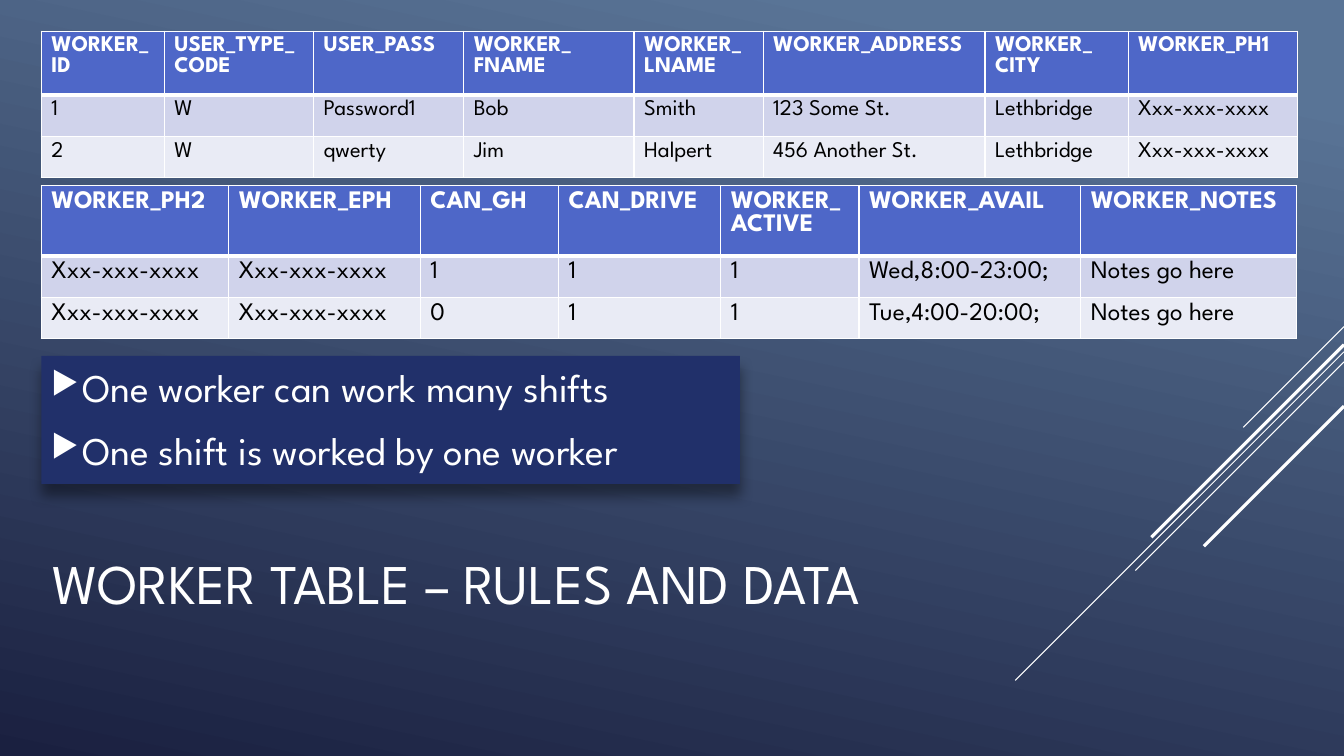
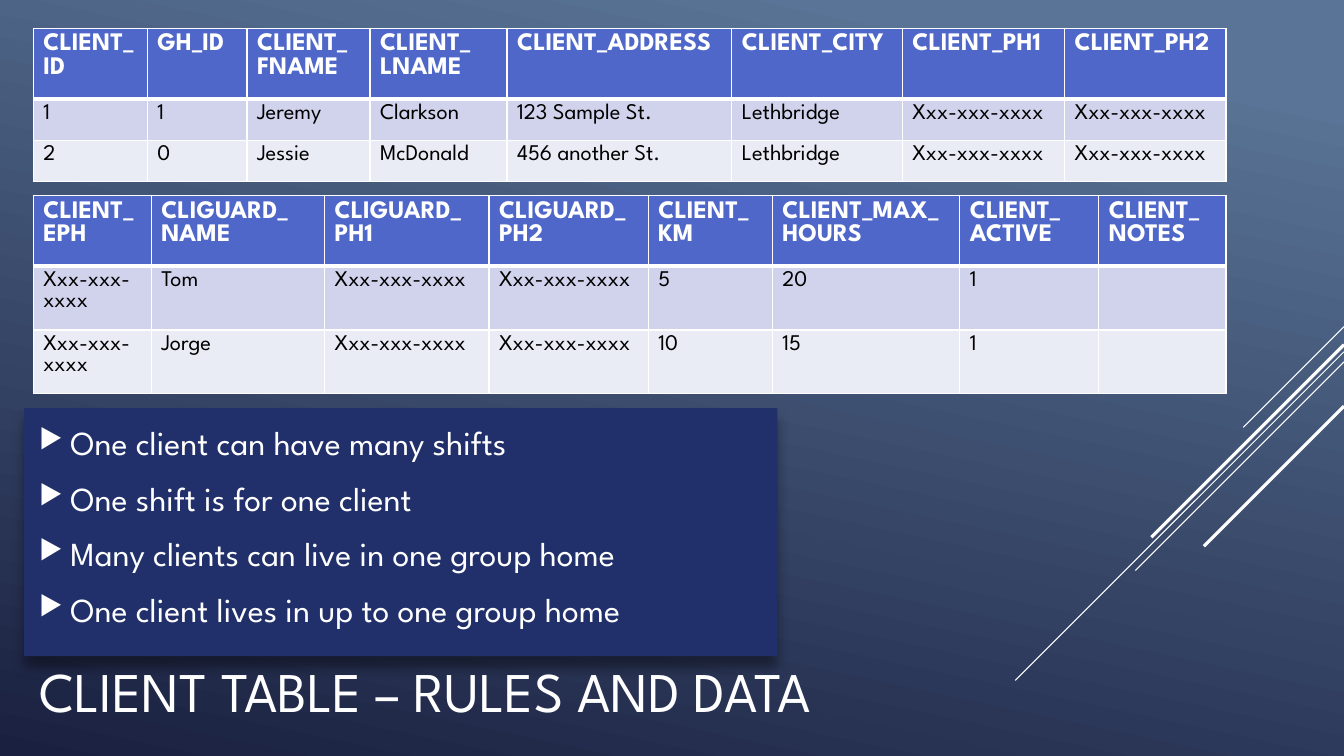
from lxml import etree
from pptx import Presentation
from pptx.dml.color import RGBColor
from pptx.enum.shapes import MSO_CONNECTOR, MSO_SHAPE
from pptx.enum.text import MSO_ANCHOR
from pptx.oxml.ns import qn
from pptx.util import Inches, Pt

STRAIGHT = MSO_CONNECTOR.STRAIGHT
RECTANGLE = MSO_SHAPE.RECTANGLE
MIDDLE = MSO_ANCHOR.MIDDLE

FONT = "League Spartan"
COLORS = {
    "sky": "597496",
    "night": "1A2040",
    "panel": "21306A",
    "header": "4E67C8",
    "odd_row": "D0D3EB",
    "even_row": "E9EBF5",
    "white": "FFFFFF",
    "black": "000000",
}
PAGE_WIDTH, PAGE_HEIGHT = 13.33, 7.5
DIAGONALS = [
    (3.24, 1.0, 0.75),
    (3.49, 3.26, 0.75),
    (3.59, 2.07, 0.75),
    (3.42, 1.91, 2.25),
    (4.03, 1.39, 2.25),
]
PHONE = "Xxx-xxx-xxxx"

WORKER_MAIN = [
    ["WORKER_ ID", "USER_TYPE_ CODE", "USER_PASS", "WORKER_ FNAME",
     "WORKER_ LNAME", "WORKER_ADDRESS", "WORKER_ CITY", "WORKER_PH1"],
    ["1", "W", "Password1", "Bob", "Smith", "123 Some St.", "Lethbridge", PHONE],
    ["2", "W", "qwerty", "Jim", "Halpert", "456 Another St.", "Lethbridge", PHONE],
]
WORKER_MORE = [
    ["WORKER_PH2", "WORKER_EPH", "CAN_GH", "CAN_DRIVE",
     "WORKER_ACTIVE", "WORKER_AVAIL", "WORKER_NOTES"],
    [PHONE, PHONE, "1", "1", "1", "Wed,8:00-23:00;", "Notes go here"],
    [PHONE, PHONE, "0", "1", "1", "Tue,4:00-20:00;", "Notes go here"],
]
CLIENT_MAIN = [
    ["CLIENT_ID", "GH_ID", "CLIENT_\nFNAME", "CLIENT_\nLNAME",
     "CLIENT_ADDRESS", "CLIENT_CITY", "CLIENT_PH1", "CLIENT_PH2"],
    ["1", "1", "Jeremy", "Clarkson", "123 Sample St.", "Lethbridge", PHONE, PHONE],
    ["2", "0", "Jessie", "McDonald", "456 another St.", "Lethbridge", PHONE, PHONE],
]
CLIENT_MORE = [
    ["CLIENT_ EPH", "CLIGUARD_\nNAME", "CLIGUARD_\nPH1", "CLIGUARD_\nPH2",
     "CLIENT_\nKM", "CLIENT_MAX_\nHOURS", "CLIENT_ ACTIVE", "CLIENT_ NOTES"],
    [PHONE, "Tom", PHONE, PHONE, "5", "20", "1", ""],
    [PHONE, "Jorge", PHONE, PHONE, "10", "15", "1", ""],
]


def rgb(name):
    return RGBColor.from_string(COLORS[name])


def inches(*lengths):
    return [Inches(length) for length in lengths]


def add_color(parent, name):
    return etree.SubElement(parent, qn("a:srgbClr"), val=COLORS[name])


def add_span(para, text, size, color="white", bold=False):
    span = para.add_run()
    span.text = text
    font = span.font
    font.name, font.size, font.bold = FONT, Pt(size), bold
    font.color.rgb = rgb(color)


def add_page(deck):
    page = deck.slides.add_slide(deck.slide_layouts[6])
    fill = page.background.fill
    fill.gradient()
    fill.gradient_angle = 258
    for stop, position, color in zip(fill.gradient_stops, (0.1, 1), ("sky", "night")):
        stop.position = position
        stop.color.rgb = rgb(color)
    for top, reach, weight in DIAGONALS:
        line = page.shapes.add_connector(
            STRAIGHT, *inches(PAGE_WIDTH, top, PAGE_WIDTH - reach, top + reach))
        line.line.color.rgb = rgb("white")
        line.line.width = Pt(weight)
        etree.SubElement(line.element.spPr, qn("a:effectLst"))
    return page


def add_panel(page, frame):
    panel = page.shapes.add_shape(RECTANGLE, *inches(*frame))
    panel.fill.solid()
    panel.fill.fore_color.rgb = rgb("panel")
    panel.line.fill.background()
    panel.shadow.inherit = False
    effects = panel.element.spPr.find(qn("a:effectLst"))
    shadow = etree.SubElement(
        effects, qn("a:outerShdw"), blurRad=str(Pt(9)), dist=str(Pt(8)),
        dir="5400000", rotWithShape="0")
    etree.SubElement(add_color(shadow, "black"), qn("a:alpha"), val="40000")


def add_text_box(page, frame):
    box = page.shapes.add_textbox(*inches(*frame))
    box.text_frame.word_wrap = True
    box.text_frame.vertical_anchor = MIDDLE
    return box.text_frame


def add_title(page, text, frame):
    add_span(add_text_box(page, frame).paragraphs[0], text, 40)


def add_bullet(para):
    props = para._p.get_or_add_pPr()
    props.set("marL", str(Inches(0.31)))
    props.set("indent", str(-Inches(0.31)))
    add_color(etree.SubElement(props, qn("a:buClr")), "white")
    etree.SubElement(props, qn("a:buSzPct"), val="80000")
    etree.SubElement(props, qn("a:buChar"), char="▶")


def add_rules(page, rules, size, frame):
    text_frame = add_text_box(page, frame)
    for index, rule in enumerate(rules):
        para = text_frame.add_paragraph() if index else text_frame.paragraphs[0]
        add_bullet(para)
        para.space_before = Pt(0.2 * size if index else 0)
        para.space_after = Pt(6)
        add_span(para, rule, size)


def add_border(cell, side, weight):
    line = etree.SubElement(
        cell._tc.get_or_add_tcPr(), qn("a:ln" + side), w=str(Pt(weight)))
    add_color(etree.SubElement(line, qn("a:solidFill")), "white")


def fill_cell(cell, text, row, size):
    for side in "LRTB":
        under_header = (row, side) in ((0, "B"), (1, "T"))
        add_border(cell, side, 3 if under_header else 1)
    cell.fill.solid()
    cell.fill.fore_color.rgb = rgb(("header", "odd_row", "even_row")[row])
    color = "black" if row else "white"
    for index, text_line in enumerate(text.split("\n")):
        paras = cell.text_frame
        para = paras.add_paragraph() if index else paras.paragraphs[0]
        if text_line:
            add_span(para, text_line, size, color, bold=row == 0)


def add_data_table(page, rows, left, top, widths, heights, header_size, body_size):
    table = page.shapes.add_table(
        len(rows), len(widths), *inches(left, top, sum(widths), sum(heights))).table
    for column, width in zip(table.columns, widths):
        column.width = Inches(width)
    for row, (texts, height) in enumerate(zip(rows, heights)):
        table.rows[row].height = Inches(height)
        for column, text in enumerate(texts):
            fill_cell(table.cell(row, column), text, row,
                      body_size if row else header_size)


def add_worker_page(deck):
    page = add_page(deck)
    add_panel(page, (0.41, 3.53, 6.93, 1.27))
    add_title(page, "WORKER TABLE – RULES AND DATA", (0.42, 4.91, 9.33, 1.73))
    add_data_table(page, WORKER_MAIN, 0.41, 0.31,
                   [1.22, 1.48, 1.49, 1.69, 1.28, 2.2, 1.42, 1.68],
                   [0.51, 0.41, 0.41], 16, 16)
    add_data_table(page, WORKER_MORE, 0.41, 1.84,
                   [1.86, 1.9, 1.37, 1.61, 1.37, 2.2, 2.14],
                   [0.56, 0.41, 0.41], 18, 18)
    add_rules(page, ["One worker can work many shifts",
                     "One shift is worked by one worker"],
              28, (0.41, 2.77, 9.33, 2.76))


def add_client_page(deck):
    page = add_page(deck)
    add_panel(page, (0.24, 4.05, 7.47, 2.46))
    add_title(page, "CLIENT TABLE – RULES AND DATA", (0.29, 6.02, 9.33, 1.65))
    add_data_table(page, CLIENT_MAIN, 0.33, 0.28,
                   [1.13, 0.99, 1.22, 1.36, 2.23, 1.69, 1.61, 1.6],
                   [0.56, 0.41, 0.41], 18, 16)
    add_data_table(page, CLIENT_MORE, 0.33, 1.94,
                   [1.17, 1.72, 1.63, 1.58, 1.23, 1.86, 1.38, 1.26],
                   [0.56, 0.51, 0.51], 18, 16)
    add_rules(page, ["One client can have many shifts",
                     "One shift is for one client",
                     "Many clients can live in one group home",
                     "One client lives in up to one group home"],
              24, (0.29, 4, 7.28, 2.43))


def main():
    deck = Presentation()
    deck.slide_width, deck.slide_height = inches(PAGE_WIDTH, PAGE_HEIGHT)
    add_worker_page(deck)
    add_client_page(deck)
    deck.save("out.pptx")


if __name__ == "__main__":
    main()
